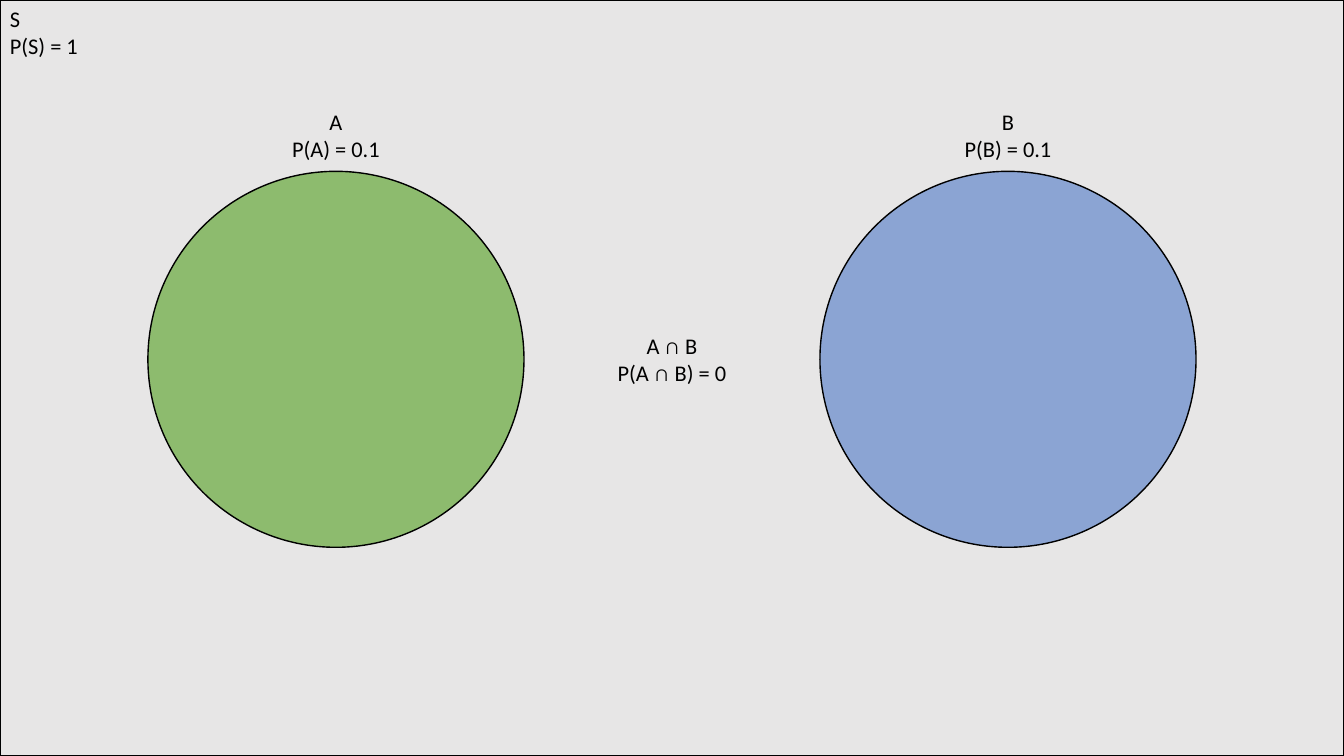
from pptx import Presentation
from pptx import util as u
from pptx.dml.color import RGBColor
from pptx.enum import shapes, text
from pptx.oxml.ns import qn
from lxml import etree

WIDE, HIGH = 13.33, 7.5
SIZE, TOP = 3.73, 1.7
TALL = 0.64
BLACK = "000000"
SPACE = ("S\nP(S) = 1", "E7E6E6")
EVENTS = [
    ("A\nP(A) = 0.1", "70AD47", WIDE / 4),
    ("B\nP(B) = 0.1", "6D8FCD", WIDE * 3 / 4),
]
BOTH = "A ∩ B\nP(A ∩ B) = 0"

deck = Presentation()
deck.slide_width, deck.slide_height = u.Inches(WIDE), u.Inches(HIGH)
slide = deck.slides.add_slide(deck.slide_layouts[6])


def color(code):
    return RGBColor.from_string(code)


def place(*box):
    return [u.Inches(n) for n in box]


def shape(kind, box, fill, alpha=None):
    item = slide.shapes.add_shape(kind, *place(*box))
    item.shadow.inherit = False
    item.fill.solid()
    item.fill.fore_color.rgb = color(fill)
    item.line.color.rgb = color(BLACK)
    item.line.width = u.Pt(1)
    if alpha:
        tint = item.fill._xPr.find(qn("a:solidFill"))[0]
        etree.SubElement(tint, qn("a:alpha")).set("val", str(alpha * 1000))


def label(words, box, align=text.PP_ALIGN.CENTER,
          anchor=text.MSO_ANCHOR.MIDDLE, size=16, ink=BLACK):
    frame = slide.shapes.add_textbox(*place(*box)).text_frame
    frame.word_wrap = True
    frame.auto_size = text.MSO_AUTO_SIZE.SHAPE_TO_FIT_TEXT
    frame.vertical_anchor = anchor
    para = frame.paragraphs[0]
    para.text = words
    para.alignment = align
    for run in para.runs:
        run.font.name = "Calibri"
        run.font.size = u.Pt(size)
        run.font.color.rgb = color(ink)


words, fill = SPACE
shape(shapes.MSO_SHAPE.RECTANGLE, (0, 0, WIDE, HIGH), fill)
for _, fill, mid in EVENTS:
    shape(shapes.MSO_SHAPE.OVAL, (mid - SIZE / 2, TOP, SIZE, SIZE), fill, alpha=75)

label(words, (0, 0, 2.93, TALL), align=text.PP_ALIGN.LEFT,
      anchor=text.MSO_ANCHOR.TOP)
for name, _, mid in EVENTS:
    label(name, (mid - 1.33 / 2, 1.02, 1.33, TALL))
label(BOTH, ((WIDE - 1.93) / 2, TOP + (SIZE - TALL) / 2, 1.93, TALL))

deck.save("out.pptx")
